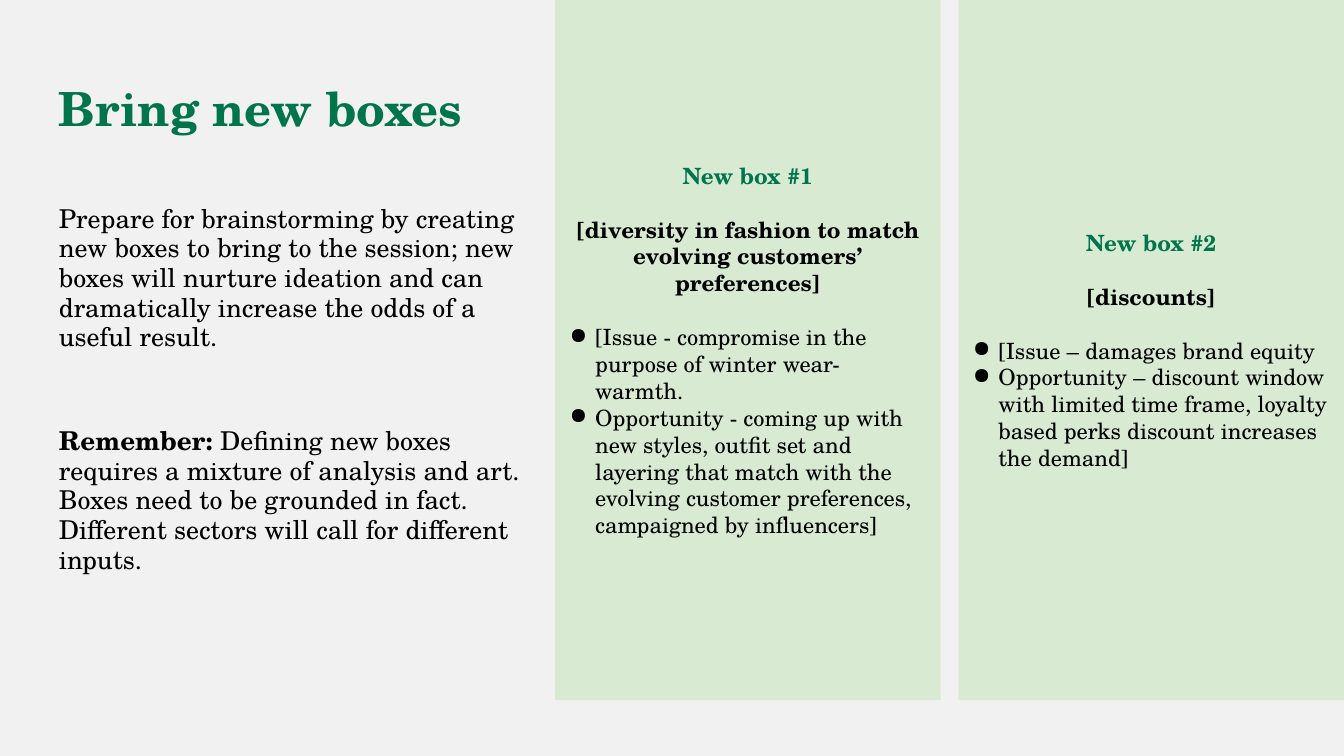
import pptx
import pptx.util
import pptx.dml.color
import pptx.enum.shapes
import pptx.enum.text
from lxml import etree

Pt = pptx.util.Pt
RGB = pptx.dml.color.RGBColor
ALIGN = pptx.enum.text.PP_ALIGN
ANCHOR = pptx.enum.text.MSO_ANCHOR

FONT = "TeX Gyre Schola"
GREEN = RGB(0x00, 0x75, 0x4B)
BLACK = RGB(0x00, 0x00, 0x00)
PALE = RGB(0xD9, 0xEA, 0xD3)
GRAY = RGB(0xF1, 0xF1, 0xF1)

LEFT = 24.5
PANEL_X, PANEL_W, PANEL_H, STEP = 297.4, 206.6, 375.1, 216
GAP = 14.4  # one line of panel text

PANELS = [
    ("New box #1",
     "[diversity in fashion to match evolving customers’ preferences]",
     ["[Issue - compromise in the purpose of winter wear-warmth.",
      "Opportunity - coming up with new styles, outfit set and layering that "
      "match with the evolving customer preferences, campaigned by influencers]"]),
    ("New box #2",
     "[discounts]",
     ["[Issue – damages brand equity",
      "Opportunity – discount window with limited time frame, loyalty based "
      "perks discount increases the demand]"]),
]


def setup(shape, anchor):
    """Return the shape's text frame with equal insets and wrapping."""
    frame = shape.text_frame
    frame.word_wrap = True
    frame.vertical_anchor = anchor
    frame.margin_left = frame.margin_right = Pt(7.2)
    frame.margin_top = frame.margin_bottom = Pt(7.2)
    return frame


def add_bullet(para):
    props = para._p.get_or_add_pPr()
    props.set("marL", str(Pt(14.4)))
    props.set("indent", str(Pt(-13.7)))
    mark = etree.SubElement(props, pptx.oxml.ns.qn("a:buChar"))
    mark.set("char", "●")


def write(frame, text, size=12, color=BLACK, bold=False, lead="",
          align=ALIGN.LEFT, before=0, line=1.0, bullet=False):
    """Add a paragraph; lead is bold text that opens it."""
    first = frame.paragraphs[0]
    para = frame.add_paragraph() if first.runs else first
    para.alignment = align
    para.line_spacing = line
    para.space_before = Pt(before)
    if bullet:
        add_bullet(para)
    for part, heavy in ((lead, True), (text, bold)):
        if part:
            run = para.add_run()
            run.text = part
            run.font.name = FONT
            run.font.size = Pt(size)
            run.font.bold = heavy
            run.font.color.rgb = color


def add_box(slide, left, top, width, height, anchor):
    box = slide.shapes.add_textbox(Pt(left), Pt(top), Pt(width), Pt(height))
    return setup(box, anchor)


def add_panel(slide, left, title, topic, points):
    rect = slide.shapes.add_shape(
        pptx.enum.shapes.MSO_SHAPE.RECTANGLE,
        Pt(left), Pt(0), Pt(PANEL_W), Pt(PANEL_H))
    rect.shadow.inherit = False
    rect.fill.solid()
    rect.fill.fore_color.rgb = PALE
    rect.line.fill.background()
    frame = setup(rect, ANCHOR.MIDDLE)
    write(frame, title, color=GREEN, bold=True, align=ALIGN.CENTER)
    write(frame, topic, bold=True, align=ALIGN.CENTER, before=GAP)
    for num, point in enumerate(points):
        write(frame, point, bullet=True, before=0 if num else GAP)


def main():
    deck = pptx.Presentation()
    deck.slide_width, deck.slide_height = Pt(720), Pt(405)
    slide = deck.slides.add_slide(deck.slide_layouts[6])
    slide.background.fill.solid()
    slide.background.fill.fore_color.rgb = GRAY

    title = add_box(slide, LEFT, 35.3, 671, 45.4, ANCHOR.TOP)
    write(title, "Bring new boxes", size=25.2, color=GREEN, bold=True)

    body = add_box(slide, LEFT, 90.7, 263.5, 236.2, ANCHOR.MIDDLE)
    write(body, "Prepare for brainstorming by creating new boxes to bring to "
          "the session; new boxes will nurture ideation and can dramatically "
          "increase the odds of a useful result.", size=13.9, line=0.95)
    write(body, " Defining new boxes requires a mixture of analysis and art. "
          "Boxes need to be grounded in fact. Different sectors will call for "
          "different inputs.", lead="Remember:", size=13.9, line=0.95,
          before=39.9)

    for num, panel in enumerate(PANELS):
        add_panel(slide, PANEL_X + num * STEP, *panel)
    deck.save("out.pptx")


if __name__ == "__main__":
    main()
